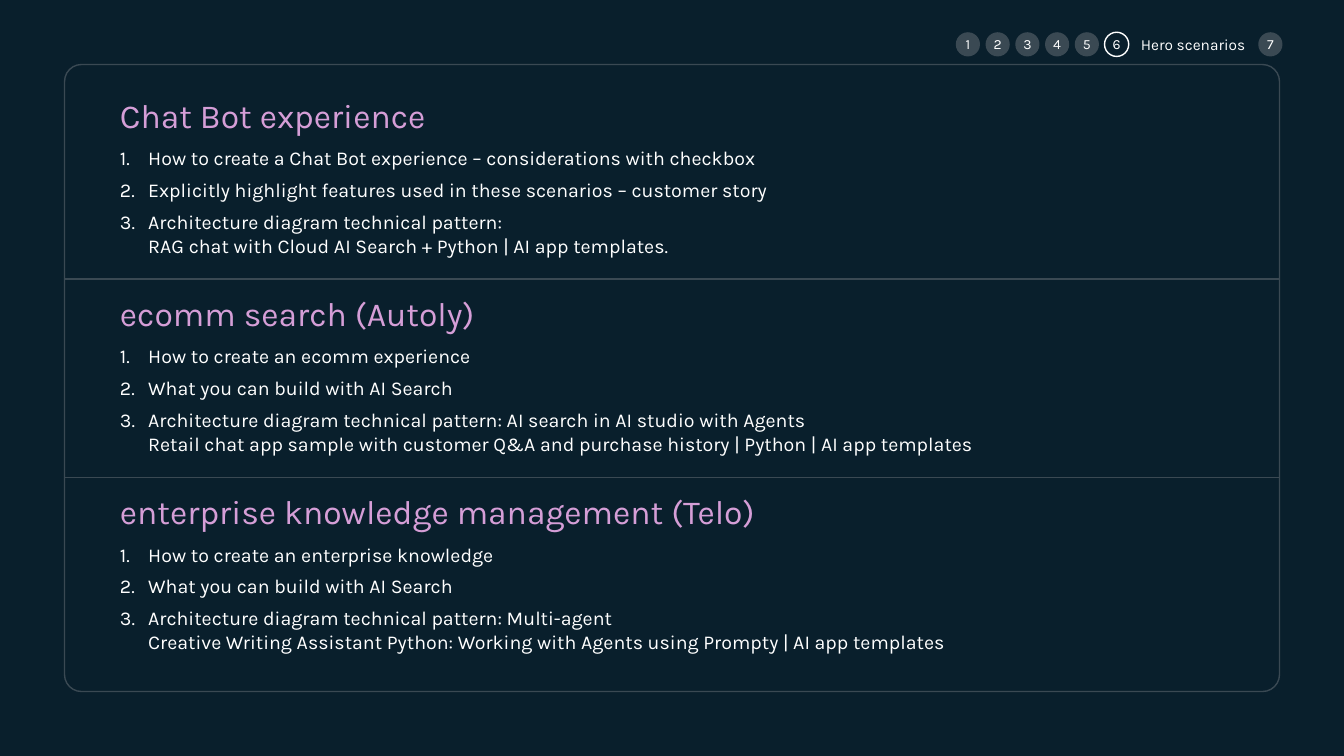
from lxml import etree
from pptx import Presentation
from pptx import util as u
from pptx.dml.color import RGBColor
from pptx.enum import shapes, text
from pptx.oxml import ns

NIGHT = RGBColor(0x09, 0x1F, 0x2C)
SLATE = RGBColor(0x3A, 0x49, 0x53)
WHITE = RGBColor(0xFF, 0xFF, 0xFF)
LILAC = RGBColor(0xD5, 0x9E, 0xD7)
FACE = "Karla"

WIDE, HIGH = 13.33, 7.5
PANEL = (0.64, 0.64, 12.05, 6.22)
ROW = 1.965      # pitch of the three scenarios
DOT = 0.24       # diameter of a page marker
STEP = 0.295     # pitch of the page markers

SCENES = [
    ("Chat Bot experience", [
        ["How to create a Chat Bot experience – considerations with checkbox"],
        ["Explicitly highlight features used in these scenarios – customer story"],
        ["Architecture diagram technical pattern:",
         "RAG chat with Cloud AI Search + Python | AI app templates."]]),
    ("ecomm search (Autoly)", [
        ["How to create an ecomm experience"],
        ["What you can build with AI Search"],
        ["Architecture diagram technical pattern: AI search in AI studio with Agents",
         "Retail chat app sample with customer Q&A and purchase history"
         " | Python | AI app templates"]]),
    ("enterprise knowledge management (Telo)", [
        ["How to create an enterprise knowledge"],
        ["What you can build with AI Search"],
        ["Architecture diagram technical pattern: Multi-agent",
         "Creative Writing Assistant Python: Working with Agents using Prompty"
         " | AI app templates"]]),
]


def inches(*sizes):
    return [u.Inches(size) for size in sizes]


def add_run(para, words, size, color):
    run = para.add_run()
    run.text = words
    run.font.name = FACE
    run.font.size = u.Pt(size)
    run.font.color.rgb = color


def set_frame(frame, anchor, wrap=True, left=0):
    frame.auto_size = text.MSO_AUTO_SIZE.NONE
    frame.word_wrap = wrap
    frame.vertical_anchor = anchor
    frame.margin_left = u.Inches(left)
    frame.margin_top = frame.margin_right = frame.margin_bottom = 0


def add_panel(slide, box):
    """Rounded outline with a rule between the scenarios."""
    left, top, width, height = box
    panel = slide.shapes.add_shape(
        shapes.MSO_SHAPE.ROUNDED_RECTANGLE, *inches(*box))
    panel.adjustments[0] = 0.027
    panel.shadow.inherit = False
    panel.fill.background()
    panel.line.color.rgb = SLATE
    panel.line.width = u.Pt(1)
    for row in range(1, len(SCENES)):
        y = top + 0.165 + row * ROW
        rule = slide.shapes.add_connector(
            shapes.MSO_CONNECTOR.STRAIGHT, *inches(left, y, left + width, y))
        rule.line.color.rgb = SLATE
        rule.line.width = u.Pt(1)
        etree.SubElement(rule._element.spPr, ns.qn("a:effectLst"))


def add_scene(slide, box, head, items):
    """Heading followed by a numbered list."""
    frame = slide.shapes.add_textbox(*inches(*box)).text_frame
    set_frame(frame, text.MSO_ANCHOR.TOP)
    para = frame.paragraphs[0]
    para.space_after = u.Pt(8)
    add_run(para, head, 24, LILAC)
    for lines in items:
        para = frame.add_paragraph()
        props = para._p.get_or_add_pPr()
        props.set("marL", str(u.Inches(0.28)))
        props.set("indent", str(-u.Inches(0.28)))
        etree.SubElement(props, ns.qn("a:buAutoNum"), type="arabicPeriod")
        para.space_after = u.Pt(6)
        for spot, line in enumerate(lines):
            if spot:
                para.add_line_break()
            add_run(para, line, 14, WHITE)


def add_dot(slide, left, top, label, active):
    """One numbered page marker."""
    dot = slide.shapes.add_shape(
        shapes.MSO_SHAPE.OVAL, *inches(left, top, DOT, DOT))
    dot.shadow.inherit = False
    dot.fill.solid()
    dot.fill.fore_color.rgb = NIGHT if active else SLATE
    if active:
        dot.line.color.rgb = WHITE
        dot.line.width = u.Pt(1)
    else:
        dot.line.fill.background()
    set_frame(dot.text_frame, text.MSO_ANCHOR.MIDDLE)
    para = dot.text_frame.paragraphs[0]
    para.alignment = text.PP_ALIGN.CENTER
    add_run(para, label, 10, WHITE)


def add_trail(slide, box):
    """Page markers, with the slide title after the active one."""
    left, top, width, height = box
    for page in range(1, 7):
        add_dot(slide, left + (page - 1) * STEP, top, str(page), page == 6)
    add_dot(slide, left + width - DOT, top, "7", False)
    title = slide.shapes.title
    title.left, title.top, title.width, title.height = inches(
        left + 5 * STEP + DOT, top, 1.16, height)
    set_frame(title.text_frame, text.MSO_ANCHOR.MIDDLE, False, 0.12)
    para = title.text_frame.paragraphs[0]
    para.alignment = text.PP_ALIGN.LEFT
    add_run(para, "Hero scenarios", 11, WHITE)


def main():
    deck = Presentation()
    deck.slide_width, deck.slide_height = inches(WIDE, HIGH)
    slide = deck.slides.add_slide(deck.slide_layouts[5])
    slide.background.fill.solid()
    slide.background.fill.fore_color.rgb = NIGHT

    add_panel(slide, PANEL)
    left, top, width, height = PANEL
    for row, (head, items) in enumerate(SCENES):
        box = (left + 0.55, top + 0.3 + row * ROW, width - 1.09, 1.68)
        add_scene(slide, box, head, items)
    add_trail(slide, (9.48, 0.32, 3.24, DOT))
    deck.save("out.pptx")


if __name__ == "__main__":
    main()
